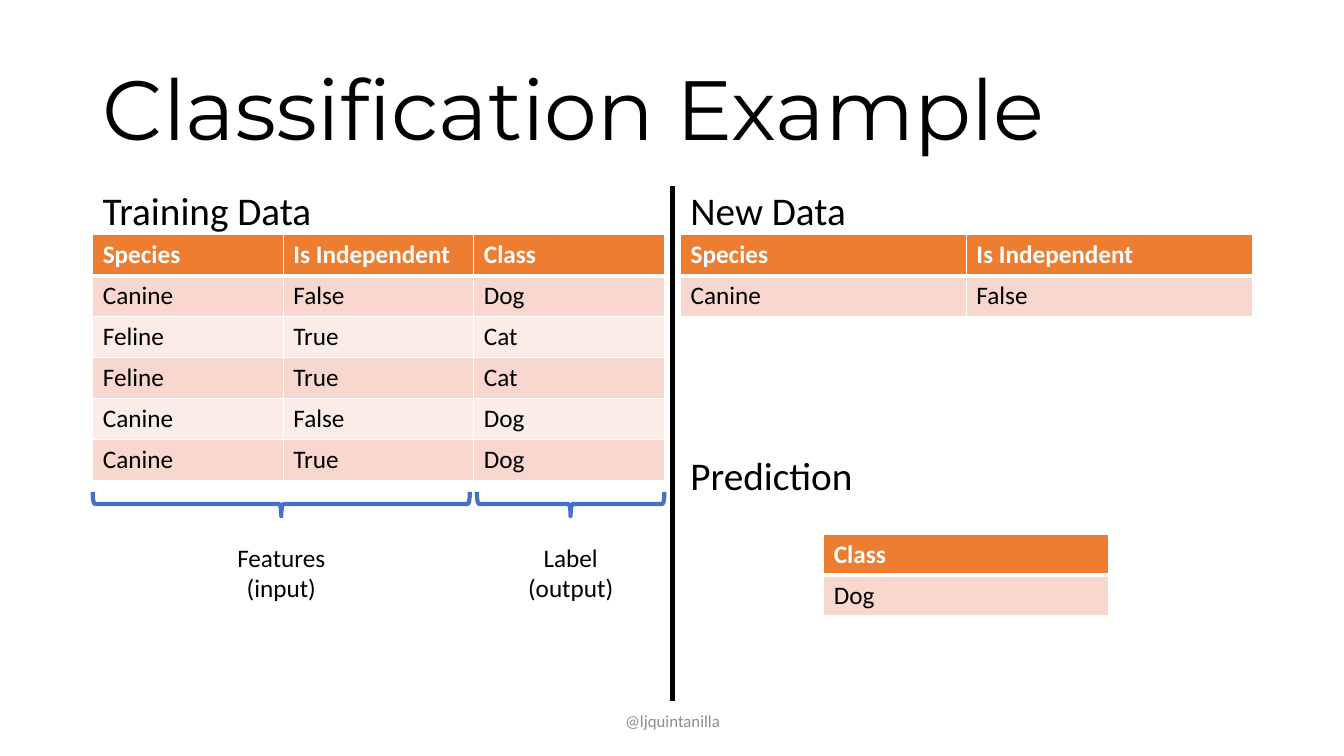
from pptx import Presentation, util as u
from pptx.dml.color import RGBColor
from pptx.enum import shapes, text
from pptx.oxml import parse_xml
from pptx.oxml.ns import nsdecls

PX = 9144


def px(*lengths):
    return [u.Emu(round(n * PX)) for n in lengths]


def color(value):
    return RGBColor.from_string(value)


class Deck:
    BODY, HEAD = "Calibri", "Montserrat"
    INK, PAPER, MUTED = "000000", "FFFFFF", "8C8C8C"
    ORANGE, BLUE = "ED7D31", "4472C4"
    BANDS = ("F8D7CE", "FCECE8")

    def __init__(self, width, height):
        self.prs = Presentation()
        self.prs.slide_width, self.prs.slide_height = px(width, height)
        self.s = self.prs.slides.add_slide(self.prs.slide_layouts[5])

    def run(self, p, words, size, fill=INK, font=BODY, bold=False):
        r = p.add_run()
        r.text = words
        r.font.size, r.font.name, r.font.bold = u.Pt(size), font, bold
        r.font.color.rgb = color(fill)

    def title(self, x, y, w, h, words):
        sp = self.s.shapes.title
        sp.left, sp.top, sp.width, sp.height = px(x, y, w, h)
        tf = sp.text_frame
        tf.vertical_anchor = text.MSO_ANCHOR.MIDDLE
        tf.auto_size = text.MSO_AUTO_SIZE.NONE
        p = tf.paragraphs[0]
        p.alignment, p.line_spacing = text.PP_ALIGN.LEFT, 0.9
        self.run(p, words, 60, font=self.HEAD)

    def label(self, x, y, w, h, lines, size, fill=INK, align="LEFT",
              anchor="TOP", wrap=False):
        tf = self.s.shapes.add_textbox(*px(x, y, w, h)).text_frame
        tf.word_wrap = wrap
        tf.vertical_anchor = text.MSO_ANCHOR[anchor]
        for i, line in enumerate(lines):
            p = tf.add_paragraph() if i else tf.paragraphs[0]
            p.alignment = text.PP_ALIGN[align]
            self.run(p, line, size, fill)

    def borders(self, cell, top, bottom):
        tcPr = cell._tc.get_or_add_tcPr()
        for side, points in (("L", 1), ("R", 1), ("T", top), ("B", bottom)):
            tcPr.append(parse_xml(
                f'<a:ln{side} {nsdecls("a")} w="{u.Pt(points)}"><a:solidFill>'
                f'<a:srgbClr val="{self.PAPER}"/></a:solidFill></a:ln{side}>'))

    def table(self, x, y, w, h, rows):
        frame = self.s.shapes.add_table(len(rows), len(rows[0]), *px(x, y, w, h))
        for i, row in enumerate(rows):
            header = i == 0
            for j, words in enumerate(row):
                cell = frame.table.cell(i, j)
                self.borders(cell, 3 if i == 1 else 1, 3 if header else 1)
                cell.fill.solid()
                cell.fill.fore_color.rgb = color(
                    self.ORANGE if header else self.BANDS[(i - 1) % 2])
                self.run(cell.text_frame.paragraphs[0], words, 18,
                         self.PAPER if header else self.INK, bold=header)

    def brace(self, x, y, w, h):
        shift = (w - h) / 2
        sp = self.s.shapes.add_shape(shapes.MSO_SHAPE.LEFT_BRACE,
                                     *px(x + shift, y - shift, h, w))
        sp.rotation = 270
        sp.shadow.inherit = False
        sp.fill.background()
        sp.line.color.rgb = color(self.BLUE)
        sp.line.width = u.Pt(3)

    def line(self, x1, y1, x2, y2):
        sp = self.s.shapes.add_connector(shapes.MSO_CONNECTOR.STRAIGHT,
                                         *px(x1, y1, x2, y2))
        sp.line.color.rgb = color(self.INK)
        sp.line.width = u.Pt(3)
        sp._element.spPr.append(parse_xml(f'<a:effectLst {nsdecls("a")}/>'))


def main():
    d = Deck(1333, 750)
    left, right = 92, 675
    d.title(left, 40, 1150, 145, "Classification Example")

    d.table(left, 233, 567, 243, [
        ("Species", "Is Independent", "Class"),
        ("Canine", "False", "Dog"),
        ("Feline", "True", "Cat"),
        ("Feline", "True", "Cat"),
        ("Canine", "False", "Dog"),
        ("Canine", "True", "Dog"),
    ])
    d.table(right, 233, 567, 81, [("Species", "Is Independent"),
                                  ("Canine", "False")])
    d.table(817, 530, 283, 81, [("Class",), ("Dog",)])

    for x, w, lines in ((left, 374, ("Features", "(input)")),
                        (473, 186, ("Label", "(output)"))):
        d.brace(x, 488, w, 24)
        d.label(x + w // 2 - 54, 533, 108, 71, lines, 18, align="CENTER")

    for x, y, w, words in ((left, 180, 229, "Training Data"),
                           (right, 180, 176, "New Data"),
                           (right, 443, 183, "Prediction")):
        d.label(x, y, w, 57, [words], 28)

    d.line(667, 695, 667, 185)
    d.label(442, 695, 450, 40, ["@ljquintanilla"], 12, d.MUTED, "CENTER",
            "MIDDLE", True)
    d.prs.save("out.pptx")


if __name__ == "__main__":
    main()
